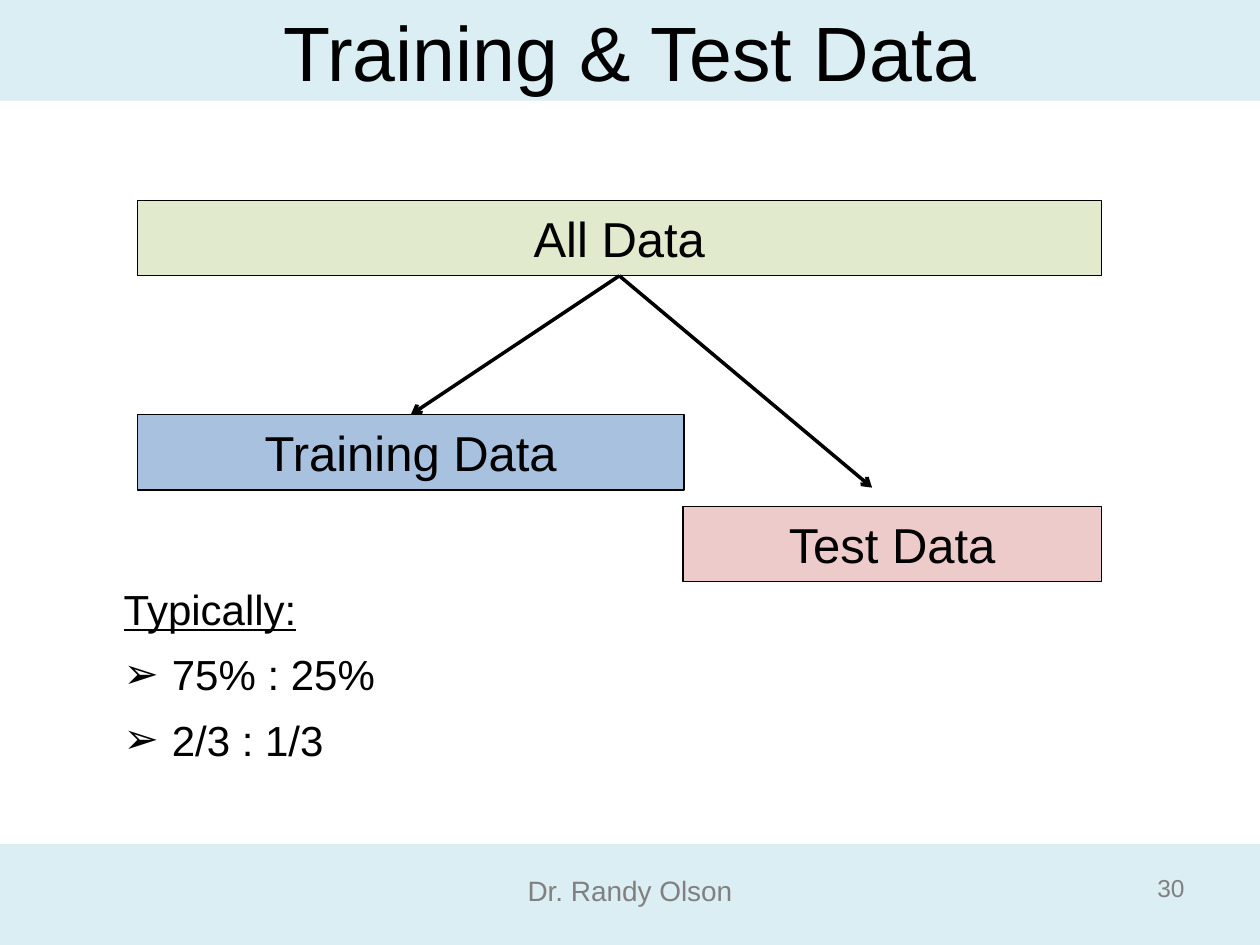
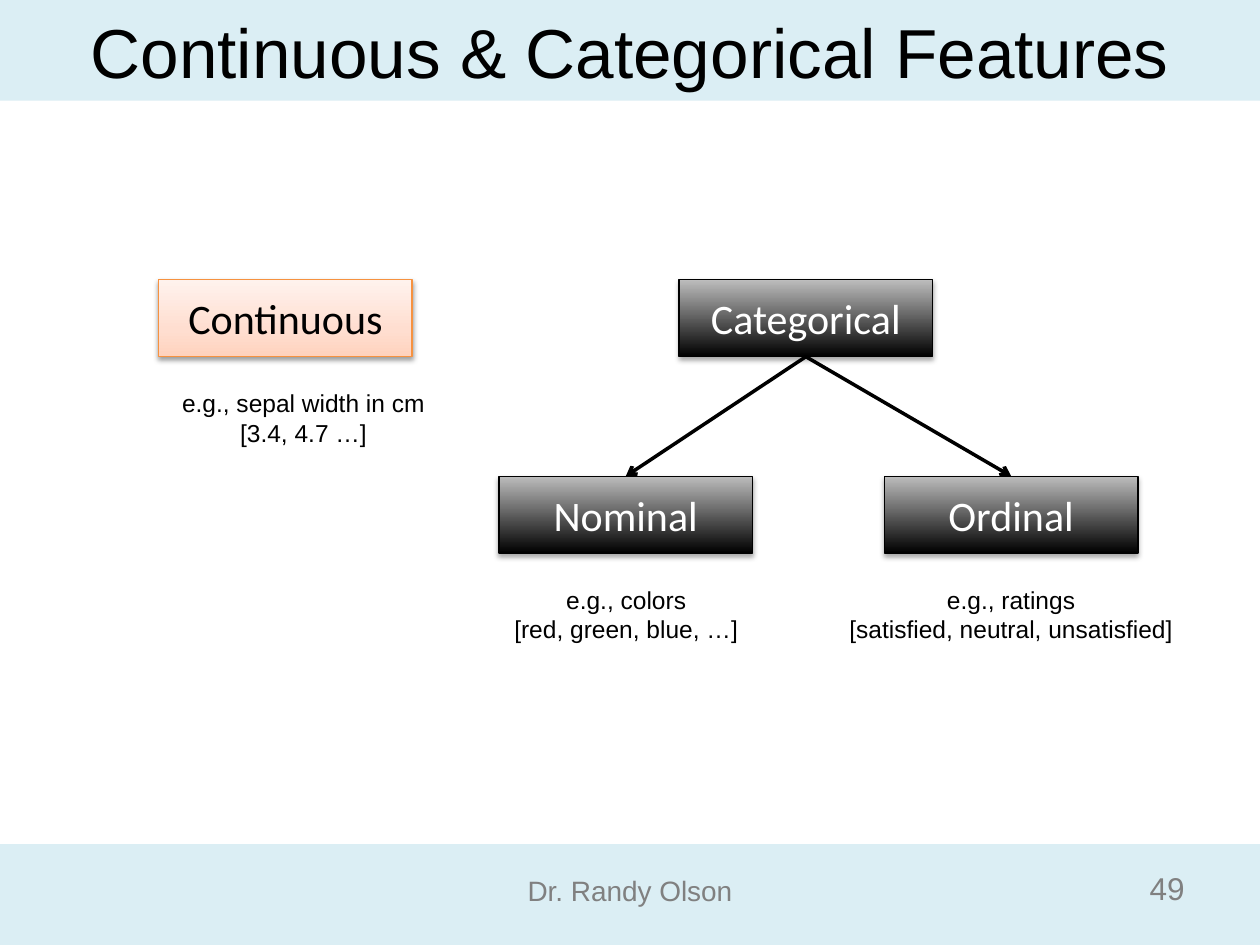
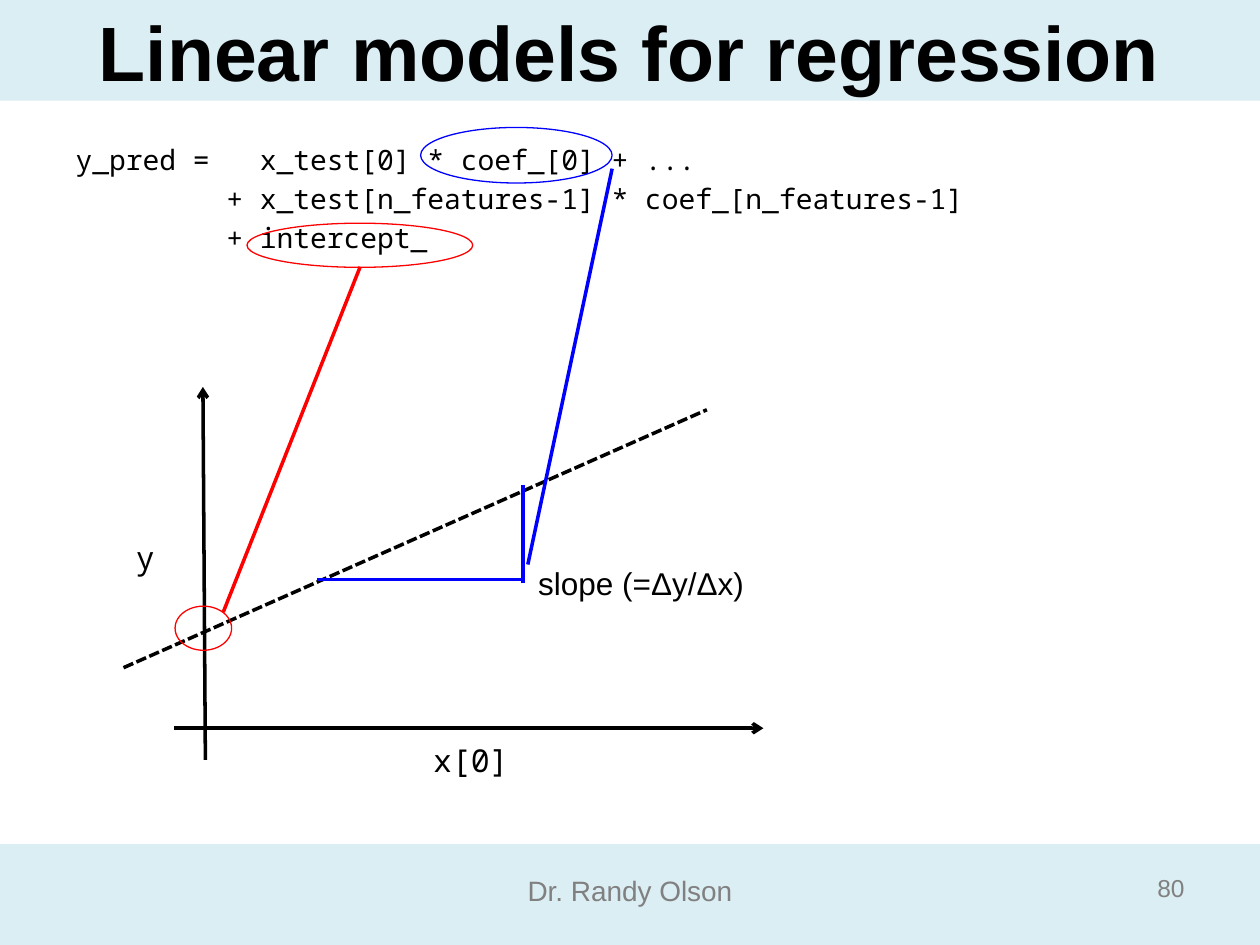
from lxml.etree import SubElement
from pptx import Presentation
from pptx.dml.color import RGBColor
from pptx.enum.dml import MSO_LINE
from pptx.enum.shapes import MSO_CONNECTOR, MSO_SHAPE
from pptx.enum.text import MSO_ANCHOR, MSO_AUTO_SIZE, PP_ALIGN
from pptx.oxml.ns import qn
from pptx.util import Cm, Pt

BLACK = RGBColor(0x00, 0x00, 0x00)
WHITE = RGBColor(0xFF, 0xFF, 0xFF)
GRAY = RGBColor(0x80, 0x80, 0x80)
PALE_BLUE = RGBColor(0xDB, 0xEE, 0xF4)
GREEN = RGBColor(0xC3, 0xD6, 0x9B)
STEEL = RGBColor(0x4F, 0x81, 0xBD)
ROSE = RGBColor(0xD9, 0x96, 0x94)
ORANGE = RGBColor(0xF6, 0x92, 0x40)
RED = RGBColor(0xFF, 0x00, 0x00)
BLUE = RGBColor(0x00, 0x00, 0xFF)
PEACH_FADE = ((0, "FFD2BD"), (35, "FFDED0"), (100, "FFF2ED"))
BLACK_FADE = ((0, "000000"), (100, "BDBDBD"))

SANS, ROUNDED, MONO = "Arial", "Calibri", "Noto Sans Mono"
TITLE_ONLY, TITLE_AND_BODY = 5, 1
CENTER, LEFT, RIGHT = PP_ALIGN.CENTER, PP_ALIGN.LEFT, PP_ALIGN.RIGHT


class Deck:
    """Hold the lecture style and draw each kind of element on the current slide."""

    def __init__(self):
        self.prs = Presentation()
        self.prs.slide_width, self.prs.slide_height = Cm(25.4), Cm(19.05)
        self.slide = None

    def start(self, title, number, layout=TITLE_ONLY, size=44, bold=False, number_size=14):
        self.slide = self.prs.slides.add_slide(self.prs.slide_layouts[layout])
        if len(self.prs.slides) == 1:
            self.share_bands()
        heading = self.place(self.slide.shapes.title, 1.27, -0.56, 22.86, 3.18)
        heading.vertical_anchor = MSO_ANCHOR.MIDDLE
        self.fill_text(heading, [title], size, align=CENTER)
        heading.paragraphs[0].font.bold = bold
        page = self.text(22.2, 17.37, 1.93, 1.04, [number], number_size, GRAY, align=RIGHT)
        page.vertical_anchor = MSO_ANCHOR.MIDDLE

    def share_bands(self):
        self.shape(0, 17.02, 25.4, 2.03, PALE_BLUE)
        self.shape(0, 0, 25.4, 2.03, PALE_BLUE)
        self.text(1.27, 17.48, 22.86, 0.94, ["Dr. Randy Olson"], 16, GRAY, align=CENTER)
        master_tree = self.prs.slide_master.shapes.element
        for offset, shared in enumerate(list(self.slide.shapes)[-3:]):
            next(shared.element.iter(qn("p:cNvPr"))).set("id", str(101 + offset))
            master_tree.insert(2 + offset, shared.element)

    def place(self, holder, left, top, width, height):
        holder.left, holder.top = Cm(left), Cm(top)
        holder.width, holder.height = Cm(width), Cm(height)
        holder.text_frame.auto_size = MSO_AUTO_SIZE.NONE
        return holder.text_frame

    def fill_text(self, frame, lines, size, color=BLACK, font=SANS, align=LEFT):
        frame.text = "\n".join(lines)
        frame.paragraphs[0].space_before = Pt(0)
        for paragraph in frame.paragraphs:
            paragraph.alignment = align
            paragraph.font.size = Pt(size)
            paragraph.font.name = font
            paragraph.font.color.rgb = color

    def text(self, left, top, width, height, lines, size, color=BLACK, font=SANS,
             align=LEFT, wrap=True):
        frame = self.slide.shapes.add_textbox(
            Cm(left), Cm(top), Cm(width), Cm(height)).text_frame
        frame.word_wrap = wrap
        self.fill_text(frame, lines, size, color, font, align)
        return frame

    def body(self, left, top, width, height, lines, size, font=SANS, bullet=None):
        frame = self.place(self.slide.placeholders[1], left, top, width, height)
        frame.text = "\n".join(lines)
        for index, paragraph in enumerate(frame.paragraphs):
            bulleted = bullet and index > 0
            indent = Cm(0.97) if bulleted else 0
            if bullet:
                paragraph.space_before = Pt(0)
            if bulleted:
                paragraph.line_spacing = 1.3
            properties = paragraph._p.get_or_add_pPr()
            properties.set("marL", str(indent))
            properties.set("indent", str(-indent))
            if bulleted:
                SubElement(properties, qn("a:buFont"), typeface=SANS)
                SubElement(properties, qn("a:buChar"), char=bullet)
            else:
                SubElement(properties, qn("a:buNone"))
            paragraph.font.size = Pt(size)
            paragraph.font.name = font
            paragraph.font.color.rgb = BLACK
        frame.paragraphs[0].space_before = Pt(0)
        return frame

    def shape(self, left, top, width, height, fill=None, line=None, kind=MSO_SHAPE.RECTANGLE):
        drawn = self.slide.shapes.add_shape(kind, Cm(left), Cm(top), Cm(width), Cm(height))
        drawn.shadow.inherit = False
        if fill is None:
            drawn.fill.background()
        else:
            drawn.fill.solid()
            drawn.fill.fore_color.rgb = fill
        if line is None:
            drawn.line.fill.background()
        else:
            drawn.line.color.rgb = line
            drawn.line.width = Pt(0.75)
        return drawn

    def ring(self, left, top, width, height, color):
        self.shape(left, top, width, height, line=color, kind=MSO_SHAPE.OVAL)

    def data_bar(self, left, top, width, label, fill):
        bar = self.shape(left, top, width, 1.52, fill, BLACK)
        tint = bar.element.spPr.find(qn("a:solidFill"))[0]
        SubElement(tint, qn("a:alpha"), val="49000")
        self.fill_text(bar.text_frame, [label], 28, align=CENTER)
        return bar

    def feature(self, left, top, label, fade=BLACK_FADE, line=BLACK, color=WHITE,
                opacity=35, distance=1.8):
        box = self.shape(left, top, 5.11, 1.55, line=line)
        box.fill.gradient()
        box.fill.gradient_angle = 90
        stops = next(box.element.iter(qn("a:gsLst")))
        stops.clear()
        for position, shade in fade:
            stop = SubElement(stops, qn("a:gs"), pos=str(position * 1000))
            SubElement(stop, qn("a:srgbClr"), val=shade)
        shadow = SubElement(box.element.spPr.find(qn("a:effectLst")), qn("a:outerShdw"),
                            blurRad=str(Pt(3.1)), dist=str(Pt(distance)), dir="5400000",
                            rotWithShape="0")
        shade = SubElement(shadow, qn("a:srgbClr"), val="000000")
        SubElement(shade, qn("a:alpha"), val=str(opacity * 1000))
        self.fill_text(box.text_frame, [label], 24, color, ROUNDED, CENTER)
        return box

    def caption(self, left, top, width, lines):
        self.text(left, top, width, 1.45, lines, 14, align=CENTER)

    def line(self, x1, y1, x2, y2, color=BLACK, arrow=False, dash=None):
        stroke = self.slide.shapes.add_connector(
            MSO_CONNECTOR.STRAIGHT, Cm(x1), Cm(y1), Cm(x2), Cm(y2))
        stroke.line.color.rgb = color
        stroke.line.width = Pt(2)
        if dash:
            stroke.line.dash_style = dash
        properties = stroke.element.spPr
        if arrow:
            SubElement(properties.find(qn("a:ln")), qn("a:tailEnd"), type="arrow")
        SubElement(properties, qn("a:effectLst"))
        return stroke

    def branch(self, parent, child):
        arrow = self.line(0, 0, 1, 1, arrow=True)
        arrow.begin_connect(parent, 2)
        arrow.end_connect(child, 0)


def training_and_test(deck):
    deck.start("Training & Test Data", "30", TITLE_AND_BODY)
    all_data = deck.data_bar(2.77, 4.04, 19.43, "All Data", GREEN)
    training = deck.data_bar(2.77, 8.36, 11.02, "Training Data", STEEL)
    deck.data_bar(13.77, 10.21, 8.43, "Test Data", ROSE)
    deck.line(12.5, 5.56, 17.58, 9.83, arrow=True).begin_connect(all_data, 2)
    deck.branch(all_data, training)
    ratios = deck.body(2.24, 11.63, 7.98, 3.89,
                       ["Typically:", "75% : 25%", "2/3 : 1/3"], 24, bullet="➢")
    ratios.paragraphs[0].font.underline = True


def feature_kinds(deck):
    deck.start("Continuous & Categorical Features", "49", size=39.6, number_size=18)
    deck.feature(3.2, 5.64, "Continuous", PEACH_FADE, ORANGE, BLACK, 38, 1.6)
    categorical = deck.feature(13.69, 5.64, "Categorical")
    for left, label in ((10.06, "Nominal"), (17.83, "Ordinal")):
        deck.branch(categorical, deck.feature(left, 9.6, label))
    deck.caption(3.2, 7.7, 5.84, ["e.g., sepal width in cm", "[3.4, 4.7 …]"])
    deck.caption(16.64, 11.66, 7.49, ["e.g., ratings", "[satisfied, neutral, unsatisfied]"])
    deck.caption(9.83, 11.66, 5.59, ["e.g., colors", "[red, green, blue, …]"])


def linear_models(deck):
    deck.start("Linear models for regression", "80", TITLE_AND_BODY, bold=True)
    deck.body(1.27, 2.74, 23.42, 12.57, [
        "y_pred =   x_test[0] * coef_[0] + ...",
        "         + x_test[n_features-1] * coef_[n_features-1]",
        "         + intercept_",
    ], 16, MONO)
    deck.line(4.14, 15.32, 4.09, 7.8, arrow=True)
    deck.line(3.51, 14.68, 15.39, 14.68, arrow=True)
    deck.text(8.48, 14.81, 2.06, 1.02, ["x[0]"], 18, font=MONO, wrap=False)
    deck.text(2.49, 10.72, 0.89, 1.02, ["y"], 18, font=MONO, wrap=False)
    deck.line(2.49, 13.46, 14.25, 8.26, dash=MSO_LINE.SQUARE_DOT)
    deck.ring(4.98, 4.5, 4.55, 0.89, RED)
    deck.line(7.26, 5.38, 4.5, 12.34, RED)
    deck.ring(3.53, 12.22, 1.14, 0.89, RED)
    deck.line(6.4, 11.68, 10.54, 11.68, BLUE)
    deck.line(10.54, 11.76, 10.54, 9.78, BLUE)
    deck.text(7.77, 11.25, 10.31, 1.02, ["slope (=Δy/Δx)"], 18, align=CENTER)
    deck.ring(8.48, 2.57, 3.86, 1.12, BLUE)
    deck.line(12.34, 3.4, 10.64, 11.38, BLUE)


def main():
    deck = Deck()
    training_and_test(deck)
    feature_kinds(deck)
    linear_models(deck)
    deck.prs.save("out.pptx")


if __name__ == "__main__":
    main()
